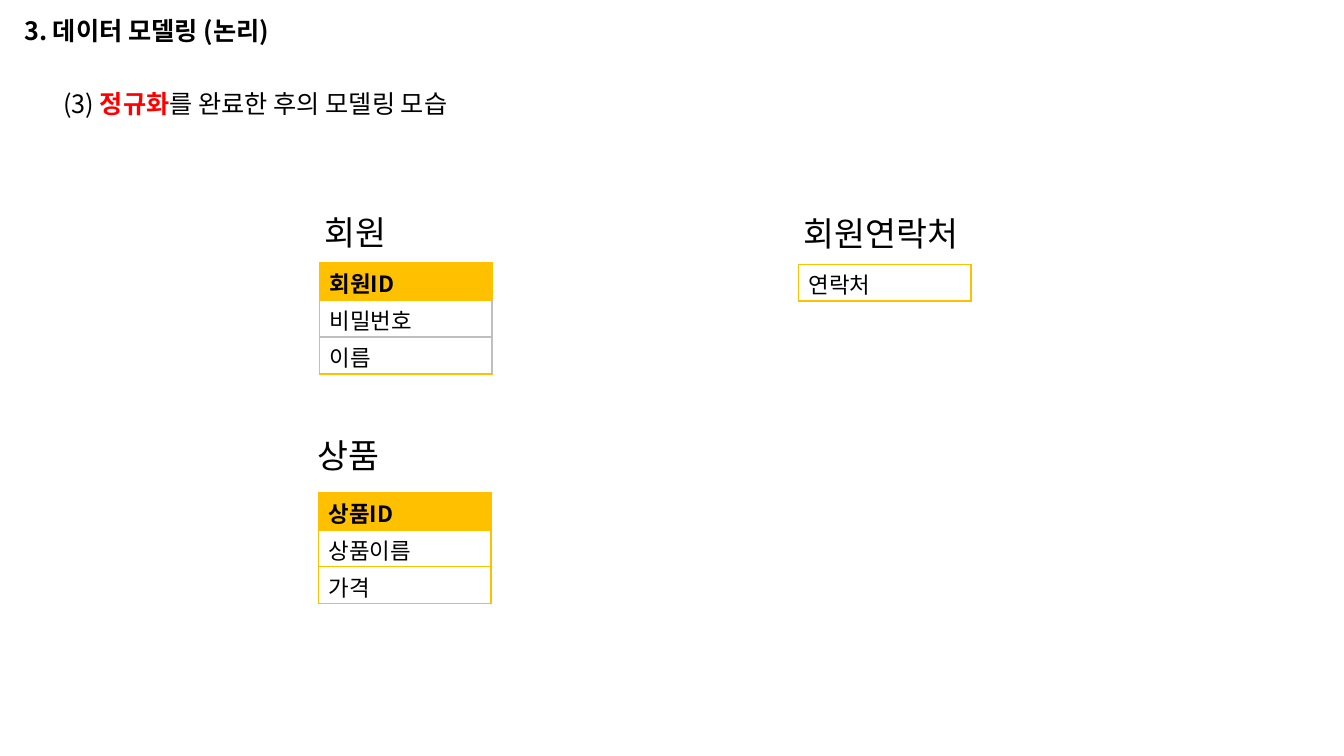
from lxml import etree
from pptx import Presentation
from pptx.dml.color import RGBColor as RGB
from pptx.enum.text import MSO_ANCHOR as Anchor, MSO_AUTO_SIZE as AutoSize, PP_ALIGN as Align
from pptx.oxml.ns import qn
from pptx.util import Inches, Pt

COLORS = {"ink": "000000", "accent": "FF0000", "gold": "FFC000",
          "white": "FFFFFF", "grey": "BFBFBF"}
FONT = "Noto Sans CJK KR"


def add_run(p, text, size=18, color="ink", bold=False):
    r = p.add_run()
    r.text = text
    r.font.size, r.font.bold, r.font.name = Pt(size), bold, FONT
    r.font.color.rgb = RGB.from_string(COLORS[color])
    etree.SubElement(r.font._element, qn("a:ea"), typeface=FONT)


class ModelSlide:
    def __init__(self, prs):
        self.slide = prs.slides.add_slide(prs.slide_layouts[5])

    def fill_frame(self, sp, box, runs):
        sp.left, sp.top, sp.width, sp.height = map(Inches, box)
        tf = sp.text_frame
        tf.word_wrap, tf.auto_size = True, AutoSize.NONE
        tf.vertical_anchor = Anchor.TOP
        tf.margin_left = tf.margin_right = Inches(0.1)
        tf.margin_top = tf.margin_bottom = 0
        p = tf.paragraphs[0]
        p.alignment = Align.LEFT
        for text, style in runs:
            add_run(p, text, **style)

    def title(self, box, text):
        self.fill_frame(self.slide.shapes.title, box, [(text, {"bold": True})])

    def text(self, box, *runs):
        sp = self.slide.shapes.add_textbox(*map(Inches, box))
        self.fill_frame(sp, box, runs)

    def border(self, cell, **sides):
        props = cell._tc.get_or_add_tcPr()
        for i, side in enumerate(("lnL", "lnR", "lnT", "lnB")):
            line = etree.Element(qn(f"a:{side}"), w=str(Pt(1)))
            fill = etree.SubElement(line, qn("a:solidFill"))
            color = COLORS[sides.get(side, "gold")]
            etree.SubElement(fill, qn("a:srgbClr"), val=color)
            props.insert(i, line)

    def entity(self, left, top, fields, key=True, inner="gold"):
        """A one-column table; the first field is the key when key is set."""
        count, row_height = len(fields), 0.367
        frame = self.slide.shapes.add_table(
            count, 1, Inches(left), Inches(top), Inches(1.71), Inches(row_height * count))
        table = frame.table
        for i, field in enumerate(fields):
            is_key = key and i == 0
            table.rows[i].height = Inches(row_height)
            cell = table.cell(i, 0)
            cell.margin_left = cell.margin_right = Inches(0.1)
            cell.margin_top, cell.margin_bottom = Inches(0.04), 0
            cell.fill.solid()
            cell.fill.fore_color.rgb = RGB.from_string(COLORS["gold" if is_key else "white"])
            add_run(cell.text_frame.paragraphs[0], field, size=16, bold=is_key)
            side = "gold" if is_key else inner
            self.border(cell, lnL=side, lnR=side,
                        lnT=inner if i > 1 else "gold",
                        lnB=inner if 0 < i < count - 1 else "gold")


def main():
    prs = Presentation()
    prs.slide_width, prs.slide_height = Inches(13.33), Inches(7.5)
    s = ModelSlide(prs)

    # Headings
    s.title((0.14, 0.15, 2.97, 0.4), "3. 데이터 모델링 (논리)")
    s.text((0.53, 0.88, 7.56, 0.4), ("(3) ", {}),
           ("정규화", {"color": "accent", "bold": True}),
           ("를 완료한 후의 모델링 모습", {}))

    # Entity names
    for name, left, top, width in (("회원", 3.12, 2.1, 1.08),
                                   ("회원연락처", 7.87, 2.11, 2.36),
                                   ("상품", 3.05, 4.31, 1.04)):
        s.text((left, top, width, 0.5), (name, {"size": 24}))

    # Entity tables
    s.entity(3.17, 2.61, ["회원ID", "비밀번호", "이름"], inner="grey")
    s.entity(7.92, 2.62, ["연락처"], key=False)
    s.entity(3.16, 4.89, ["상품ID", "상품이름", "가격"])

    prs.save("out.pptx")


if __name__ == "__main__":
    main()
